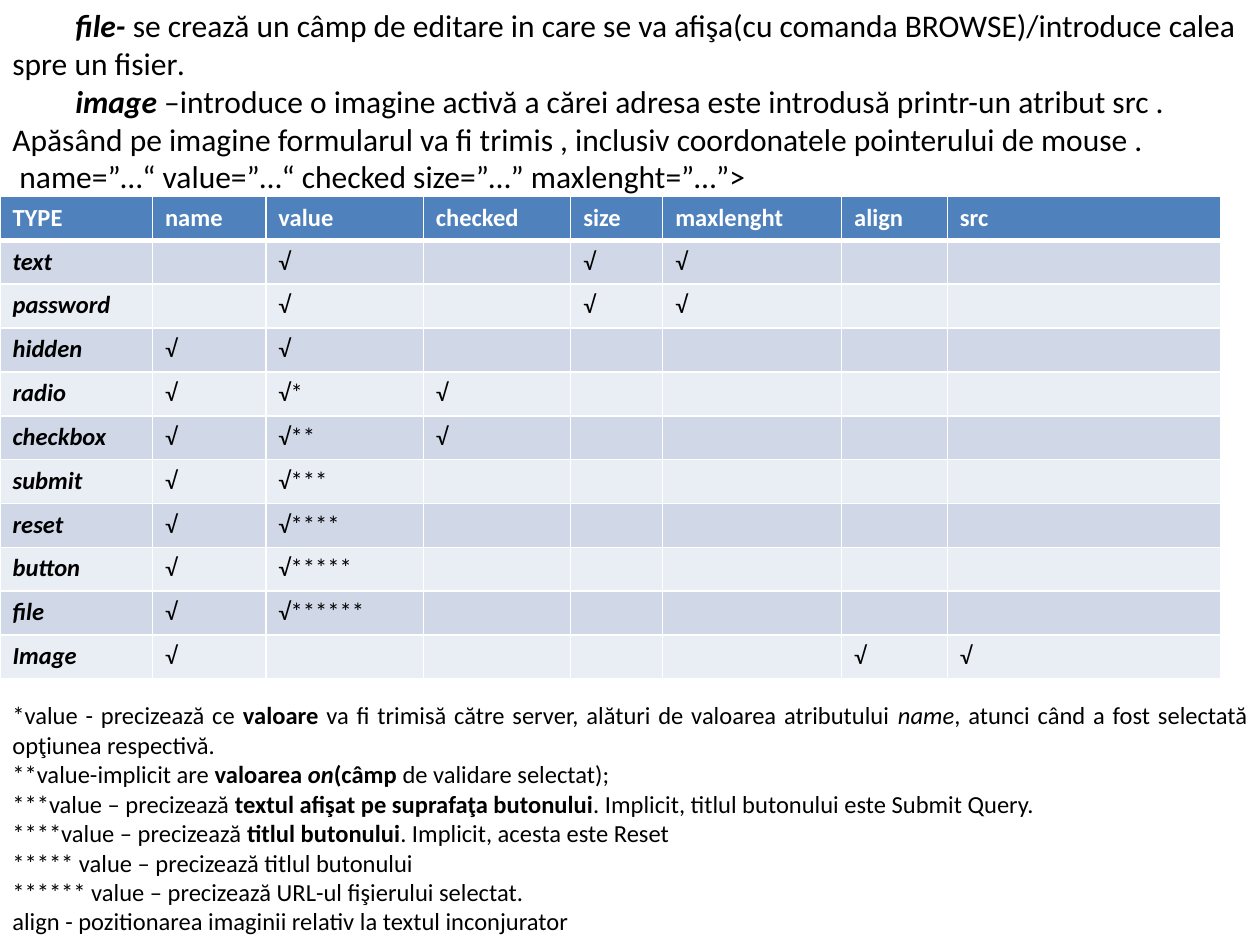
from dataclasses import dataclass

from lxml.etree import SubElement
from pptx import Presentation
from pptx.dml.color import RGBColor as RGB
from pptx.enum.text import MSO_ANCHOR, PP_ALIGN as Align
from pptx.oxml.ns import qn
from pptx.util import Inches, Pt


@dataclass(frozen=True)
class Theme:
    """Colours and type sizes of the slide."""
    font: str = "Calibri"
    intro: int = 18
    body: int = 14
    ink: str = "000000"
    white: str = "FFFFFF"
    header: str = "4F81BD"
    bands: tuple = ("D0D8E8", "E9EDF4")


THEME = Theme()

# Each paragraph is a list of (text, style); "b" is bold, "i" is italic.
INTRO = [
    [("\t", ""), ("file- ", "bi"),
     ("se crează un câmp de editare in care se va afişa(cu comanda BROWSE)"
      "/introduce calea spre un fisier", ""), (". ", "i")],
    [("\timage", "bi"),
     (" –introduce o imagine activă a cărei adresa este introdusă printr-un "
      "atribut src . Apăsând pe imagine formularul va fi trimis , inclusiv "
      "coordonatele pointerului de mouse . ", "")],
    [("\u00a0name=”…“ value=”…“ checked size=”…” maxlenght=”…”> ", "")],
]

COLUMNS = {"TYPE": 1.21, "name": 0.9, "value": 1.25, "checked": 1.17,
           "size": 0.73, "maxlenght": 1.42, "align": 0.84, "src": 2.17}
TICK = "√"
# Attributes of each input type, with the footnote mark of the tick.
TYPES = {
    "text": {"value": "", "size": "", "maxlenght": ""},
    "password": {"value": "", "size": "", "maxlenght": ""},
    "hidden": {"name": "", "value": ""},
    "radio": {"name": "", "value": "*", "checked": ""},
    "checkbox": {"name": "", "value": "**", "checked": ""},
    "submit": {"name": "", "value": "***"},
    "reset": {"name": "", "value": "****"},
    "button": {"name": "", "value": "*****"},
    "file": {"name": "", "value": "******"},
    "Image": {"name": "", "align": "", "src": ""},
}

NOTES = [
    [("*value - precizează ce ", ""), ("valoare ", "b"),
     ("va fi trimisă către server, alături de valoarea atributului ", ""),
     ("name", "i"), (", atunci când a fost selectată opţiunea respectivă. ", "")],
    [("**value-implicit are ", ""), ("valoarea ", "b"), ("on", "bi"),
     ("(câmp ", "b"), ("de validare selectat);", "")],
    [("***value – precizează ", ""),
     ("textul afişat pe suprafaţa butonului", "b"),
     (". Implicit, titlul butonului este Submit Query. ", "")],
    [("****value – precizează ", ""), ("titlul butonului", "b"),
     (". Implicit, acesta este Reset", "")],
    [("***** value – precizează titlul butonului", "")],
    [("****** value – precizează URL-ul fişierului selectat.", "")],
    [("align - pozitionarea imaginii relativ la textul inconjurator", "")],
]


def add_run(p, text, style, size, color):
    """Append one formatted run to a paragraph."""
    r = p.add_run()
    r.text = text
    font = r.font
    font.name, font.size = THEME.font, Pt(size)
    font.bold, font.italic = "b" in style, "i" in style
    font.color.rgb = RGB.from_string(color)


def add_text(s, box, paragraphs, size, align):
    """Place a wrapped text box holding styled paragraphs."""
    tf = s.shapes.add_textbox(*box).text_frame
    tf.word_wrap = True
    tf.vertical_anchor = MSO_ANCHOR.TOP
    for i, runs in enumerate(paragraphs):
        p = tf.add_paragraph() if i else tf.paragraphs[0]
        p.alignment = align
        for text, style in runs:
            add_run(p, text, style, size, THEME.ink)


def set_borders(cell, **widths):
    """Draw white borders of the given widths in points around a cell."""
    tc_pr = cell._tc.get_or_add_tcPr()
    for side in "LRTB":
        ln = SubElement(tc_pr, qn(f"a:ln{side}"), w=str(Pt(widths.get(side, 1))))
        fill = SubElement(ln, qn("a:solidFill"))
        SubElement(fill, qn("a:srgbClr"), val=THEME.white)


def fill_cell(cell, text, style, color, fill, **borders):
    """Write, fill and frame one table cell."""
    p = cell.text_frame.paragraphs[0]
    if text:
        add_run(p, text, style, THEME.body, color)
    else:
        SubElement(p._p, qn("a:endParaRPr"), sz=str(THEME.body * 100))
    set_borders(cell, **borders)
    cell.fill.solid()
    cell.fill.fore_color.rgb = RGB.from_string(fill)


def add_attribute_table(s, box):
    """Place the table of attributes allowed for each input type."""
    table = s.shapes.add_table(len(TYPES) + 1, len(COLUMNS), *box).table
    for c, (name, width) in enumerate(COLUMNS.items()):
        table.columns[c].width = Inches(width)
        fill_cell(table.cell(0, c), name, "b", THEME.white, THEME.header, B=3)
    for r, (kind, marks) in enumerate(TYPES.items(), 1):
        band = THEME.bands[(r - 1) % 2]
        top = 3 if r == 1 else 1
        for c, name in enumerate(COLUMNS):
            text = TICK + marks[name] if name in marks else ""
            if c == 0:
                text = kind
            fill_cell(table.cell(r, c), text, "" if c else "bi",
                      THEME.ink, band, T=top)


def build_slide(prs):
    """Build the slide: introduction, attribute table and footnotes."""
    s = prs.slides.add_slide(prs.slide_layouts[6])
    width = prs.slide_width
    add_text(s, (0, 0, width, Inches(1.62)), INTRO, THEME.intro, Align.LEFT)
    add_attribute_table(
        s, (0, Inches(1.56), Inches(sum(COLUMNS.values())), Inches(3.83)))
    add_text(s, (0, Inches(5.51), width, Inches(1.99)), NOTES, THEME.body,
             Align.JUSTIFY)


prs = Presentation()
prs.slide_width, prs.slide_height = Inches(10), Inches(7.5)
build_slide(prs)
prs.save("out.pptx")
